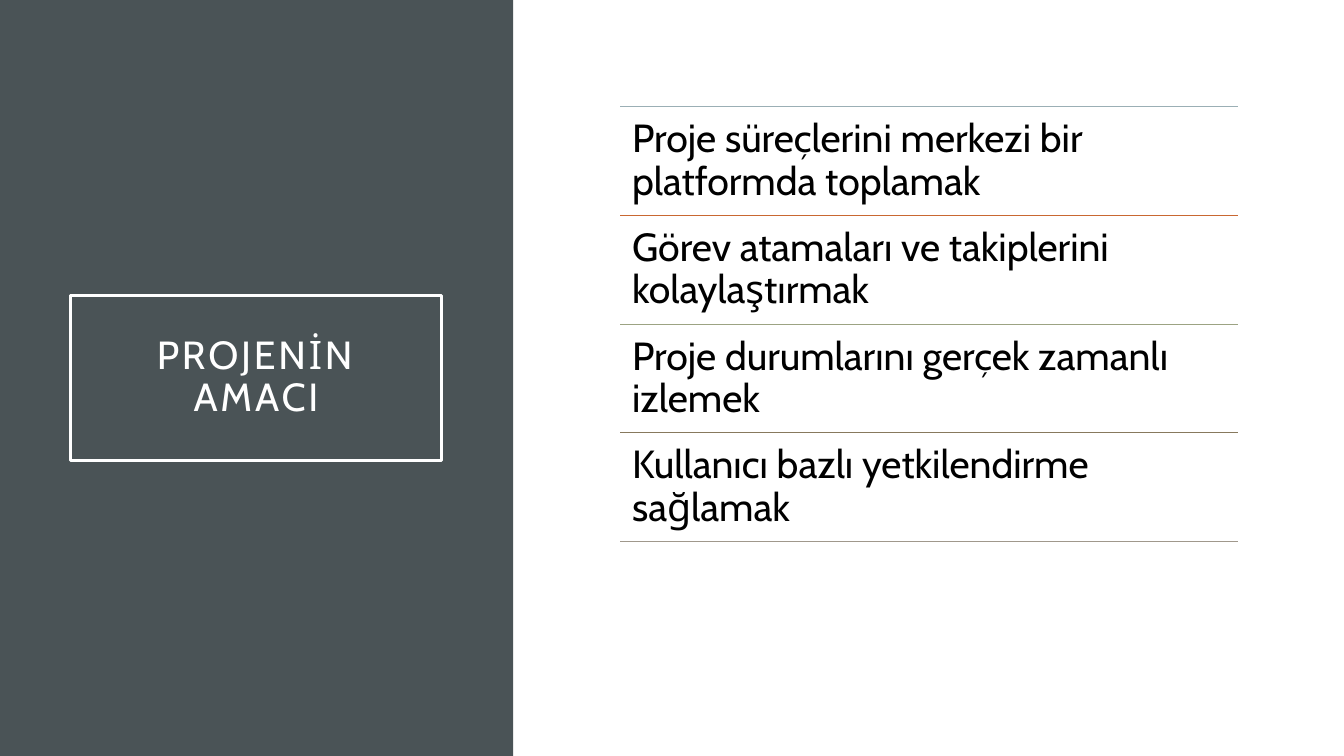
from dataclasses import dataclass

from lxml.etree import SubElement
from pptx import Presentation
from pptx.dml.color import RGBColor
from pptx.enum.shapes import MSO_CONNECTOR, MSO_SHAPE
from pptx.enum.text import MSO_ANCHOR, PP_ALIGN
from pptx.oxml.ns import qn
from pptx.util import Inches, Pt


@dataclass(frozen=True)
class Theme:
    font: str = "Cabin"
    text_size: float = 28
    title_spacing: float = 2
    frame_width: float = 2.5
    rule_width: float = 0.5
    panel: str = "4A5356"
    light: str = "FFFFFF"
    dark: str = "000000"
    rules: tuple = ("9BAFB5", "C96731", "9CA383", "87795D", "A0988C")


THEME = Theme()
TITLE = "PROJENİN AMACI"
GOALS = (
    "Proje süreçlerini merkezi bir platformda toplamak",
    "Görev atamaları ve takiplerini kolaylaştırmak",
    "Proje durumlarını gerçek zamanlı izlemek",
    "Kullanıcı bazlı yetkilendirme sağlamak",
)
LIST_LEFT, LIST_WIDTH = 6.15, 6.13
LIST_TOP, LIST_BOTTOM = 1.06, 5.37


def set_attributes(target, values):
    for name, value in values.items():
        setattr(target, name, value)


def add_rectangle(slide, left, top, width, height, fill=None, line=None):
    sp = slide.shapes.add_shape(
        MSO_SHAPE.RECTANGLE, Inches(left), Inches(top), Inches(width), Inches(height)
    )
    sp.shadow.inherit = False
    if fill:
        sp.fill.solid()
        sp.fill.fore_color.rgb = RGBColor.from_string(fill)
    else:
        sp.fill.background()
    if line:
        sp.line.color.rgb = RGBColor.from_string(line)
        sp.line.width = Pt(THEME.frame_width)
    else:
        sp.line.fill.background()
    return sp


def write_text(sp, text, color, margin, anchor, align):
    """Fill a shape with one paragraph and return its run."""
    tf = sp.text_frame
    sides = ("left", "top", "right", "bottom")
    set_attributes(tf, {f"margin_{side}": Inches(margin) for side in sides})
    set_attributes(tf, {"word_wrap": True, "vertical_anchor": anchor})
    p = tf.paragraphs[0]
    set_attributes(p, {"alignment": align, "line_spacing": 0.9})
    r = p.add_run()
    r.text = text
    set_attributes(r.font, {"name": THEME.font, "size": Pt(THEME.text_size)})
    r.font.color.rgb = RGBColor.from_string(color)
    return r


def add_title(slide):
    frame = add_rectangle(slide, 0.7, 2.93, 3.68, 1.64, line=THEME.light)
    r = write_text(frame, TITLE, THEME.light, 0.2, MSO_ANCHOR.MIDDLE, PP_ALIGN.CENTER)
    r.font._element.set("spc", str(THEME.title_spacing * 100))


def add_rule(slide, top, color):
    rule = slide.shapes.add_connector(
        MSO_CONNECTOR.STRAIGHT,
        Inches(LIST_LEFT), Inches(top), Inches(LIST_LEFT + LIST_WIDTH), Inches(top),
    )
    rule.line.color.rgb = RGBColor.from_string(color)
    rule.line.width = Pt(THEME.rule_width)
    SubElement(rule._element.spPr, qn("a:effectLst"))


def add_goal(slide, top, height, text):
    box = slide.shapes.add_textbox(
        Inches(LIST_LEFT), Inches(top), Inches(LIST_WIDTH), Inches(height)
    )
    write_text(box, text, THEME.dark, 0.12, MSO_ANCHOR.TOP, PP_ALIGN.LEFT)


def add_goal_list(slide):
    """Stack the goals in equal rows with a rule above each and below the last."""
    row = (LIST_BOTTOM - LIST_TOP) / len(GOALS)
    for i, color in enumerate(THEME.rules):
        add_rule(slide, LIST_TOP + i * row, color)
    for i, goal in enumerate(GOALS):
        add_goal(slide, LIST_TOP + i * row, row, goal)


def main():
    prs = Presentation()
    set_attributes(prs, {"slide_width": Inches(13.33), "slide_height": Inches(7.5)})
    slide = prs.slides.add_slide(prs.slide_layouts[6])
    add_rectangle(slide, 0, 0, 5.09, 7.5, fill=THEME.panel)
    add_title(slide)
    add_goal_list(slide)
    prs.save("out.pptx")


if __name__ == "__main__":
    main()
